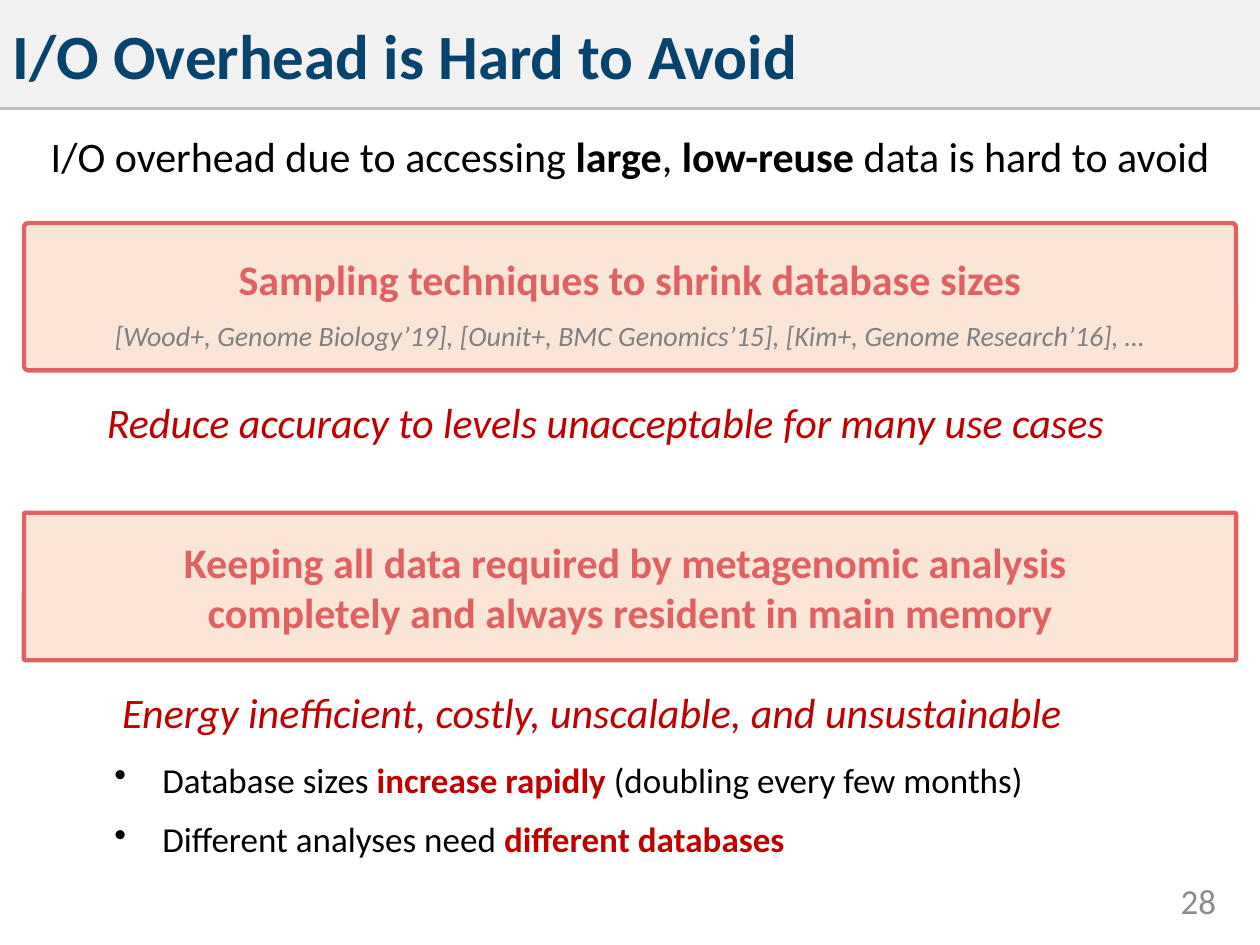
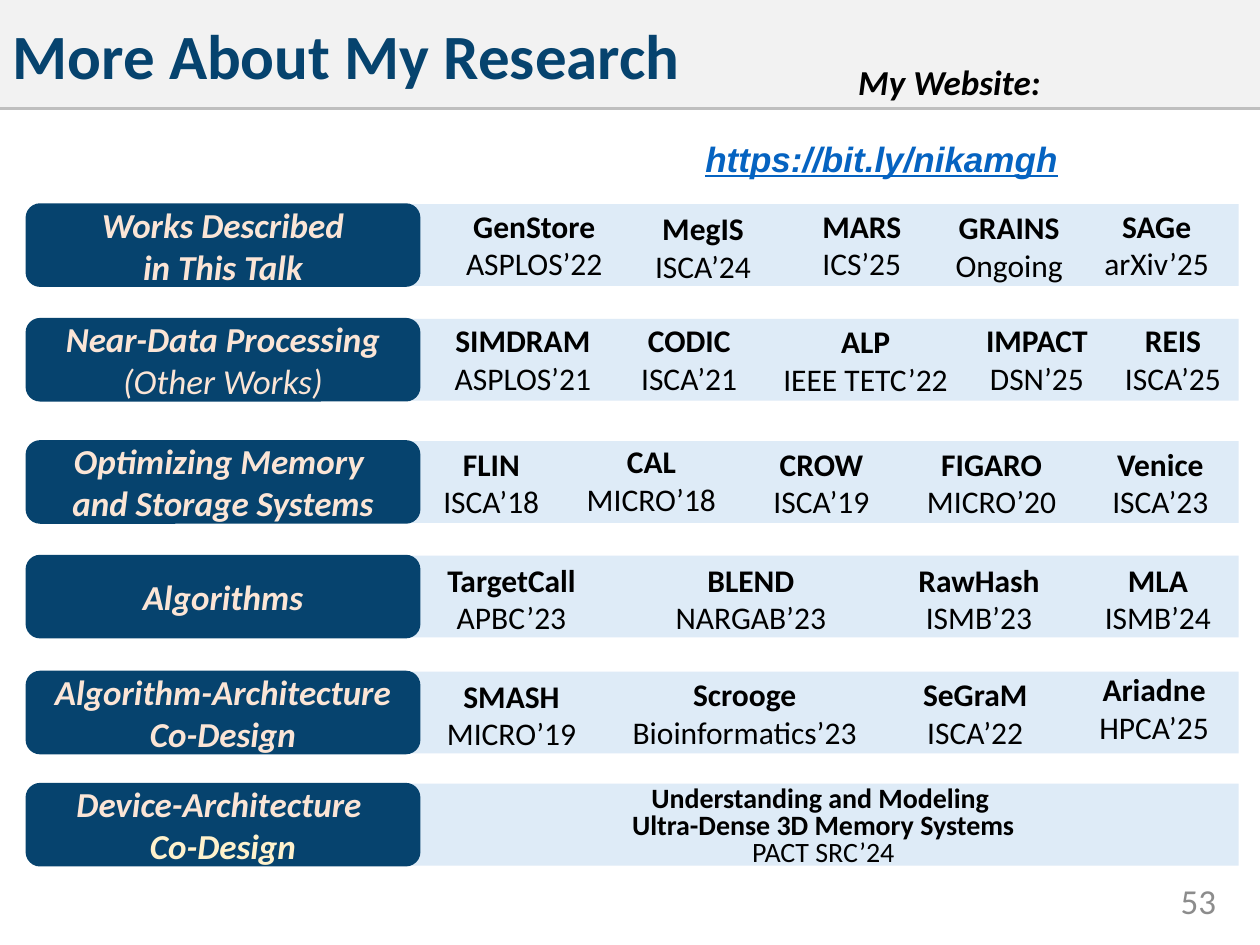
from collections import namedtuple

from lxml import etree
from pptx import Presentation
from pptx.dml.color import RGBColor
from pptx.enum.shapes import MSO_CONNECTOR, MSO_SHAPE
from pptx.enum.text import MSO_ANCHOR, MSO_AUTO_SIZE, PP_ALIGN
from pptx.oxml.ns import qn
from pptx.util import Emu, Pt

LEFT, CENTER, RIGHT = PP_ALIGN.LEFT, PP_ALIGN.CENTER, PP_ALIGN.RIGHT
TOP, MIDDLE = MSO_ANCHOR.TOP, MSO_ANCHOR.MIDDLE
RECTANGLE, ROUNDED = MSO_SHAPE.RECTANGLE, MSO_SHAPE.ROUNDED_RECTANGLE
STRAIGHT = MSO_CONNECTOR.STRAIGHT
NO_AUTOFIT = MSO_AUTO_SIZE.NONE

PX = 9144
Box = namedtuple("Box", "left top width height")
PAGE = Box(0, 0, 1000, 750)
TITLE_BAND = Box(0, 0, 1000, 86)

BLACK = RGBColor(0x00, 0x00, 0x00)
NAVY = RGBColor(0x06, 0x43, 0x6E)
BAND_GREY = RGBColor(0xF2, 0xF2, 0xF2)
RULE_GREY = RGBColor(0xBF, 0xBF, 0xBF)
NUMBER_GREY = RGBColor(0x8C, 0x8C, 0x8C)
CITATION_GREY = RGBColor(0x80, 0x80, 0x80)
PEACH = RGBColor(0xFB, 0xE5, 0xD6)
CREAM = RGBColor(0xFF, 0xF2, 0xCC)
CORAL = RGBColor(0xE0, 0x61, 0x61)
RED = RGBColor(0xC0, 0x00, 0x00)
PALE_BLUE = RGBColor(0xDE, 0xEB, 0xF7)
LINK_BLUE = RGBColor(0x05, 0x63, 0xC1)

BOLD = {"bold": True}
RED_BOLD = {"bold": True, "color": RED}


def style(size, color=BLACK, **extra):
    return {"name": "Calibri", "size": Pt(size), "color": color, **extra}


TITLE = style(36, NAVY, bold=True)
NUMBER = style(20, NUMBER_GREY)
LEAD = style(24)
APPROACH = style(24, CORAL, bold=True)
CITATION = style(16, CITATION_GREY, italic=True)
DRAWBACK = style(24, RED, italic=True)
BULLET = style(20)
TOPIC = style(20, PEACH, bold=True, italic=True)
WORK = style(18)
WIDE_WORK = style(16)
WEBSITE = style(20, bold=True, italic=True)
LINK = {**WEBSITE, "name": "Arial", "color": LINK_BLUE, "underline": True}


def emu(box):
    return [Emu(value * PX) for value in box]


def inside(area, left, top, width, height):
    return Box(area.left + left, area.top + top, width, height)


def format_font(font, values):
    for name, value in values.items():
        if name == "color":
            font.color.rgb = value
        else:
            setattr(font, name, value)


def write(shape, lines, look, align=LEFT, anchor=TOP, **spacing):
    frame = shape.text_frame
    settings = {"word_wrap": True, "auto_size": NO_AUTOFIT, "vertical_anchor": anchor}
    for name, value in settings.items():
        setattr(frame, name, value)
    for index, line in enumerate(lines):
        para = frame.add_paragraph() if index else frame.paragraphs[0]
        para.alignment = align
        for name, value in spacing.items():
            setattr(para, name, value)
        for text, change in [(line, {})] if isinstance(line, str) else line:
            span = para.add_run()
            span.text = text
            format_font(span.font, {**look, **change})
    return frame


def add_text(page, box, lines, look, **layout):
    return write(page.shapes.add_textbox(*emu(box)), lines, look, **layout)


def add_panel(page, box, preset, fill, line=None, weight=1, corner=None):
    panel = page.shapes.add_shape(preset, *emu(box))
    panel.shadow.inherit = False
    panel.fill.solid()
    panel.fill.fore_color.rgb = fill
    if line is None:
        panel.line.fill.background()
    else:
        panel.line.color.rgb = line
        panel.line.width = Pt(weight)
    if corner is not None:
        panel.adjustments[0] = corner
    return panel


def place(shape, box):
    shape.left, shape.top, shape.width, shape.height = emu(box)


def set_bullet(para, indent=0, mark=None):
    properties = para._p.get_or_add_pPr()
    properties.set("marL", str(indent * PX))
    properties.set("indent", str(-indent * PX))
    if mark:
        etree.SubElement(properties, qn("a:buChar"), char=mark)
    else:
        etree.SubElement(properties, qn("a:buNone"))


def add_title_band(page, box, text):
    title = page.shapes.title
    place(title, box)
    title.fill.solid()
    title.fill.fore_color.rgb = BAND_GREY
    write(title, [text], TITLE, anchor=MIDDLE, space_after=Pt(6))
    bottom = box.top + box.height
    rule = page.shapes.add_connector(
        STRAIGHT, *emu((box.left, bottom, box.left + box.width, bottom)))
    rule.line.color.rgb = RULE_GREY
    rule.line.width = Pt(2)
    etree.SubElement(rule._element.spPr, qn("a:effectLst"))


def add_page_number(page, area, number):
    add_text(page, inside(area, 867, 695, 108, 40), [number], NUMBER,
             align=RIGHT, anchor=MIDDLE)


def add_page(deck, layout, title, number):
    page = deck.slides.add_slide(deck.slide_layouts.get_by_name(layout))
    add_title_band(page, TITLE_BAND, title)
    add_page_number(page, PAGE, number)
    return page


def add_lead(page, box):
    lead = page.placeholders[1]
    place(lead, box)
    set_bullet(lead.text_frame.paragraphs[0])
    write(lead, [[("I/O overhead due to accessing ", {}), ("large", BOLD), (", ", {}),
                  ("low-reuse", BOLD), (" data is hard to avoid", {})]],
          LEAD, align=CENTER, line_spacing=0.9, space_before=Pt(0))


def add_approach(page, box, lines, corner, citation=None):
    panel = add_panel(page, box, ROUNDED, PEACH, CORAL, 2.5, corner)
    frame = write(panel, lines, APPROACH, align=CENTER, anchor=MIDDLE)
    if citation:
        frame.margin_bottom = Emu(34 * PX)
        add_text(page, inside(box, 0, 71, box.width, 38), [citation], CITATION, align=CENTER)


def add_reasons(page, box):
    frame = add_text(page, box, [
        [("Database sizes ", {}), ("increase rapidly ", RED_BOLD),
         ("(doubling every few months)", {})],
        [("Different analyses need ", {}), ("different databases", RED_BOLD)],
    ], BULLET, space_after=Pt(10))
    for para in frame.paragraphs:
        set_bullet(para, 38, "•")


def add_overhead_page(deck):
    page = add_page(deck, "Title and Content", "I/O Overhead is Hard to Avoid", "28")
    add_lead(page, Box(0, 103, 1000, 84))
    add_approach(page, Box(19, 177, 962, 117),
                 ["Sampling techniques to shrink database sizes"], 0.03,
                 "[Wood+, Genome Biology’19], [Ounit+, BMC Genomics’15], "
                 "[Kim+, Genome Research’16], …")
    add_approach(page, Box(19, 407, 962, 117),
                 ["Keeping all data required by metagenomic analysis ",
                  "completely and always resident in main memory"], 0.01)
    add_text(page, Box(75, 310, 882, 50),
             ["Reduce accuracy to levels unacceptable for many use cases"], DRAWBACK)
    add_text(page, Box(87, 540, 882, 50),
             ["Energy inefficient, costly, unscalable, and unsustainable"], DRAWBACK)
    add_reasons(page, Box(81, 597, 908, 91))


TOPICS = [
    (162, ["Works Described", "in This Talk"], [
        ("GenStore", "ASPLOS’22", 424, -3), ("MegIS", "ISCA’24", 558, -1),
        ("MARS", "ICS’25", 684, -3), ("GRAINS", "Ongoing", 801, -2),
        ("SAGe", "arXiv’25", 918, -3)]),
    (253, ["Near-Data Processing", [("(Other Works)", {"bold": False})]], [
        ("SIMDRAM", "ASPLOS’21", 415, -3), ("CODIC", "ISCA’21", 547, -3),
        ("ALP", "IEEE TETC’22", 687, -2), ("IMPACT", "DSN’25", 823, -3),
        ("REIS", "ISCA’25", 931, -3)]),
    (350, ["Optimizing Memory ", "and Storage Systems"], [
        ("FLIN", "ISCA’18", 390, -2), ("CAL", "MICRO’18", 517, -4),
        ("CROW", "ISCA’19", 652, -2), ("FIGARO", "MICRO’20", 787, -2),
        ("Venice", "ISCA’23", 921, -2)]),
    (441, ["Algorithms"], [
        ("TargetCall", "APBC’23", 406, -1), ("BLEND", "NARGAB’23", 596, -1),
        ("RawHash", "ISMB’23", 777, -1), ("MLA", "ISMB’24", 919, -1)]),
    (533, ["Algorithm-Architecture", "Co-Design"], [
        ("SMASH", "MICRO’19", 406, -1), ("Scrooge", "Bioinformatics’23", 591, -2),
        ("SeGraM", "ISCA’22", 774, -2), ("Ariadne", "HPCA’25", 916, -6)]),
    (622, ["Device-Architecture ", [("Co-Design", {"color": CREAM})]], []),
]


def add_topic_row(page, box, topic, works):
    add_panel(page, inside(box, 197, 0, box.width - 197, box.height), RECTANGLE, PALE_BLUE)
    pill = add_panel(page, inside(box, 0, 0, 312, box.height), ROUNDED, NAVY, NAVY)
    write(pill, topic, TOPIC, align=CENTER, anchor=MIDDLE)
    for name, venue, center, shift in works:
        width = 212 if len(venue) > 10 else 150
        add_text(page, Box(center - width // 2, box.top + shift, width, 71),
                 [[(name, BOLD)], venue], WORK, align=CENTER)


def add_wide_work(page, box):
    add_text(page, box, [[("Understanding and Modeling ", BOLD)],
                         [("Ultra-Dense 3D Memory Systems", BOLD)], "PACT SRC’24"],
             WIDE_WORK, align=CENTER, line_spacing=0.8)


def add_research_page(deck):
    page = add_page(deck, "Title Only", "More About My Research", "53")
    add_text(page, Box(612, 43, 283, 44), ["My Website:"], WEBSITE, align=CENTER)
    add_text(page, Box(550, 104, 303, 44), ["https://bit.ly/nikamgh"], LINK)
    for top, topic, works in TOPICS:
        add_topic_row(page, Box(21, top, 962, 65), topic, works)
    add_wide_work(page, Box(441, 620, 425, 75))


def main():
    deck = Presentation()
    deck.slide_width, deck.slide_height = emu(PAGE)[2:]
    add_overhead_page(deck)
    add_research_page(deck)
    deck.save("out.pptx")


if __name__ == "__main__":
    main()
